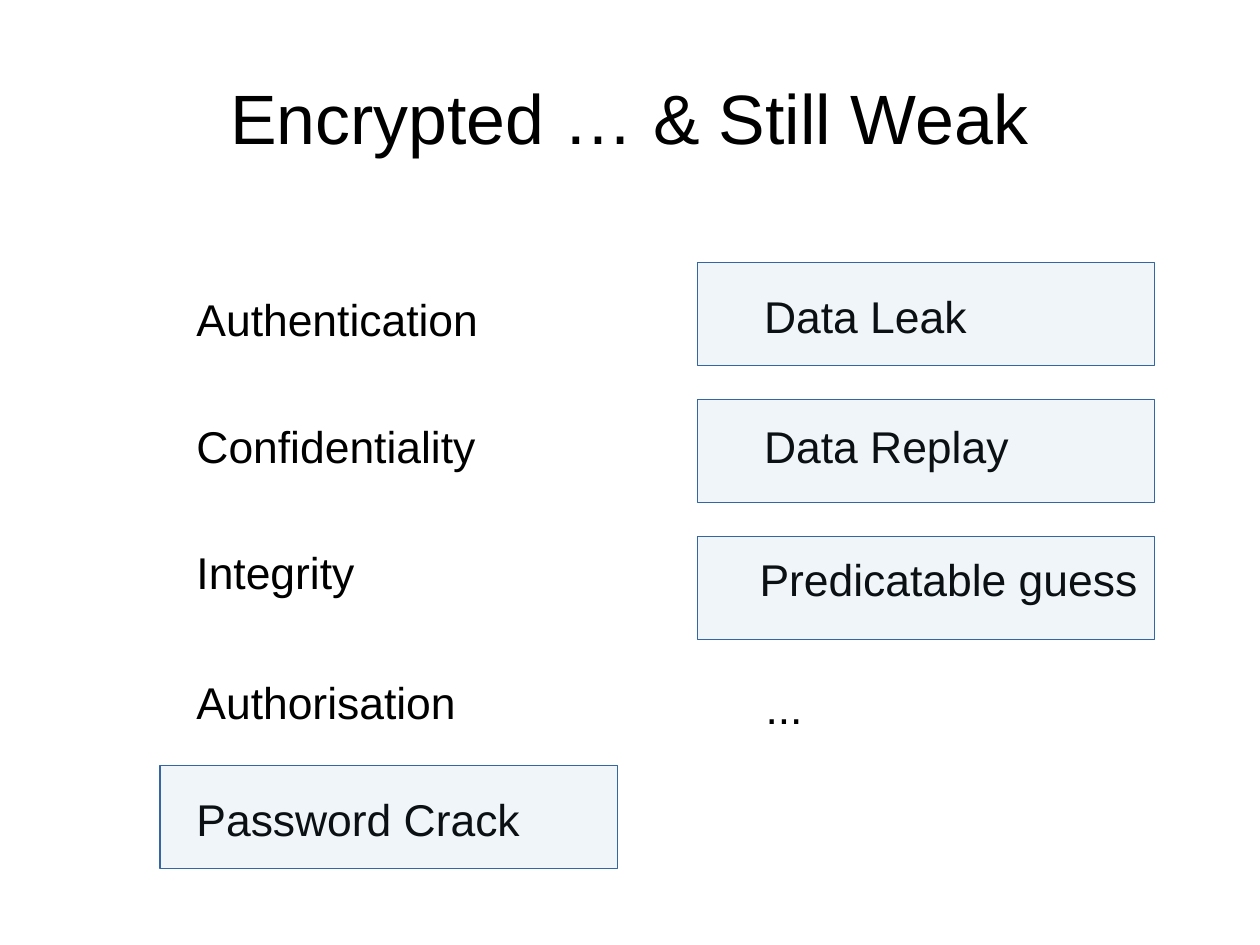
from pptx import Presentation
from pptx.dml.color import RGBColor
from pptx.enum import shapes, text
from pptx.oxml import ns
from pptx.util import Pt
from lxml import etree

COLOURS = {"text": "000000", "panel": "729FCF", "outline": "3465A4"}
PANEL_SIZE = (288, 64.8)
PANEL_STEP = 86.4
LABEL_SIZE = (260, 38.2)

# Label offsets (x, y) from the corner of their column
GOALS = [
    ("Authentication", 15.9, 15.3),
    ("Confidentiality", 15.9, 94.9),
    ("Integrity", 15.9, 174.4),
    ("Authorisation", 15.9, 256.5),
    ("Password Crack", 15.9, 330.3),
]
WEAKNESSES = [
    ("Data Leak", 35.1, 13.2),
    ("Data Replay", 35.1, 95.2),
    ("Predicatable guess", 32.2, 178.8),
    ("...", 36, 259.4),
]


def add_text(slide, wording, box, size, margins=(7.2, 3.6),
             alignment=text.PP_ALIGN.LEFT, anchor=text.MSO_ANCHOR.TOP):
    frame = slide.shapes.add_textbox(*map(Pt, box)).text_frame
    frame.word_wrap = True
    frame.vertical_anchor = anchor
    frame.margin_left = frame.margin_right = Pt(margins[0])
    frame.margin_top = frame.margin_bottom = Pt(margins[1])
    paragraph = frame.paragraphs[0]
    paragraph.text = wording
    paragraph.alignment = alignment
    paragraph.font.name = "Arial"
    paragraph.font.size = Pt(size)
    paragraph.font.color.rgb = RGBColor.from_string(COLOURS["text"])


def add_panel(slide, left, top):
    """Lay a nearly transparent highlight over a label."""
    box = (left, top, *PANEL_SIZE)
    shape = slide.shapes.add_shape(shapes.MSO_SHAPE.RECTANGLE, *map(Pt, box))
    shape.shadow.inherit = False
    shape.fill.solid()
    shape.fill.fore_color.rgb = RGBColor.from_string(COLOURS["panel"])
    colour = shape.fill._xPr.find(".//" + ns.qn("a:srgbClr"))
    etree.SubElement(colour, ns.qn("a:alpha"), val="10000")
    shape.line.color.rgb = RGBColor.from_string(COLOURS["outline"])
    shape.line.width = Pt(0)


def add_title(slide, box):
    add_text(slide, "Encrypted … & Still Weak", box, 44, (0, 0),
             text.PP_ALIGN.CENTER, text.MSO_ANCHOR.MIDDLE)


def add_column(slide, left, top, labels, panel_tops):
    for wording, x, y in labels:
        add_text(slide, wording, (left + x, top + y, *LABEL_SIZE), 28)
    for panel_top in panel_tops:
        add_panel(slide, left, top + panel_top)


def main():
    presentation = Presentation()
    presentation.slide_width = Pt(793.7)
    presentation.slide_height = Pt(595.28)
    slide = presentation.slides.add_slide(presentation.slide_layouts[6])
    add_title(slide, (39.6, 23.8, 714.2, 99.4))
    add_column(slide, 100.8, 165.4, GOALS, [316.8])
    add_column(slide, 439.2, 165.4, WEAKNESSES,
               [row * PANEL_STEP for row in range(3)])
    presentation.save("out.pptx")


if __name__ == "__main__":
    main()
